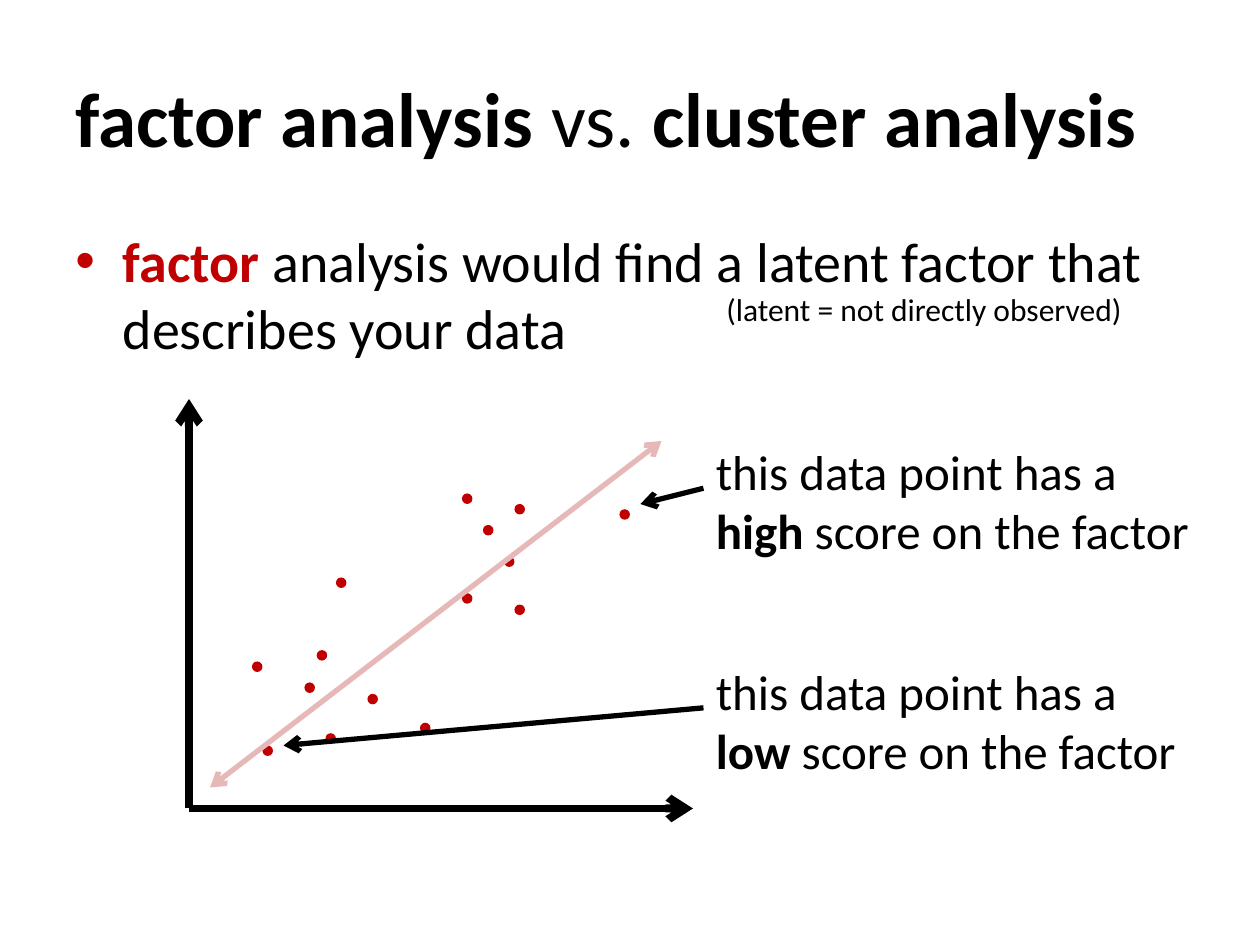
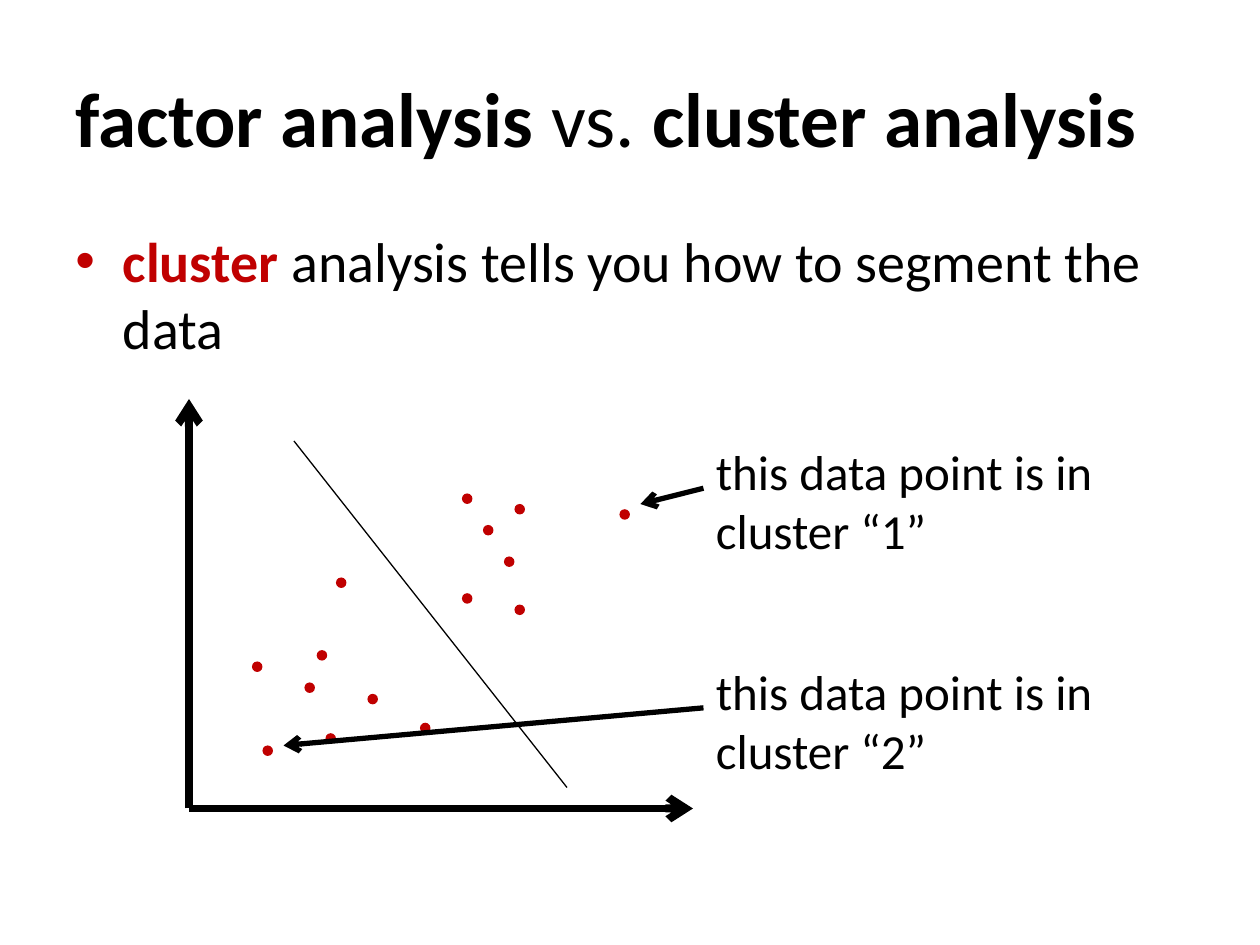
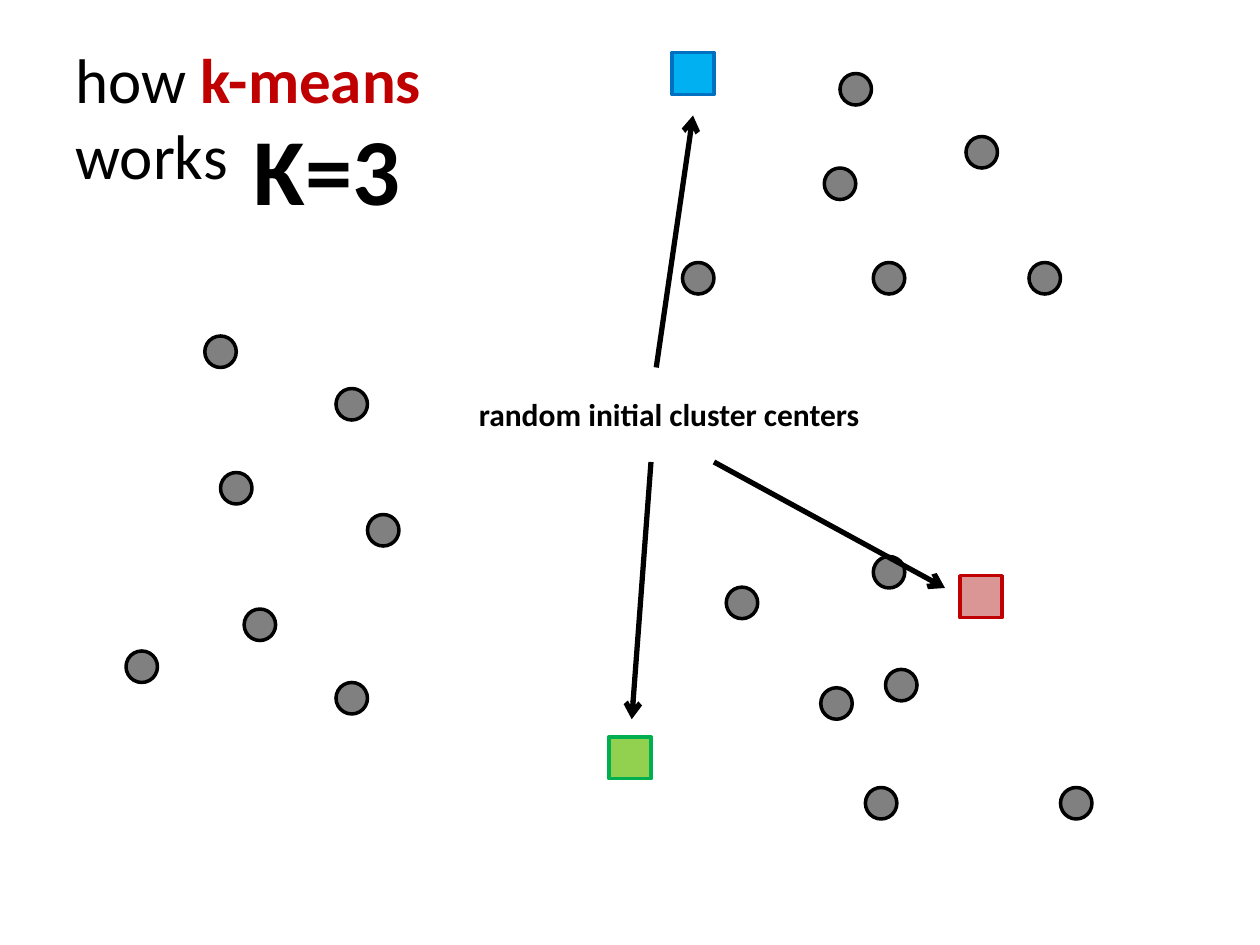
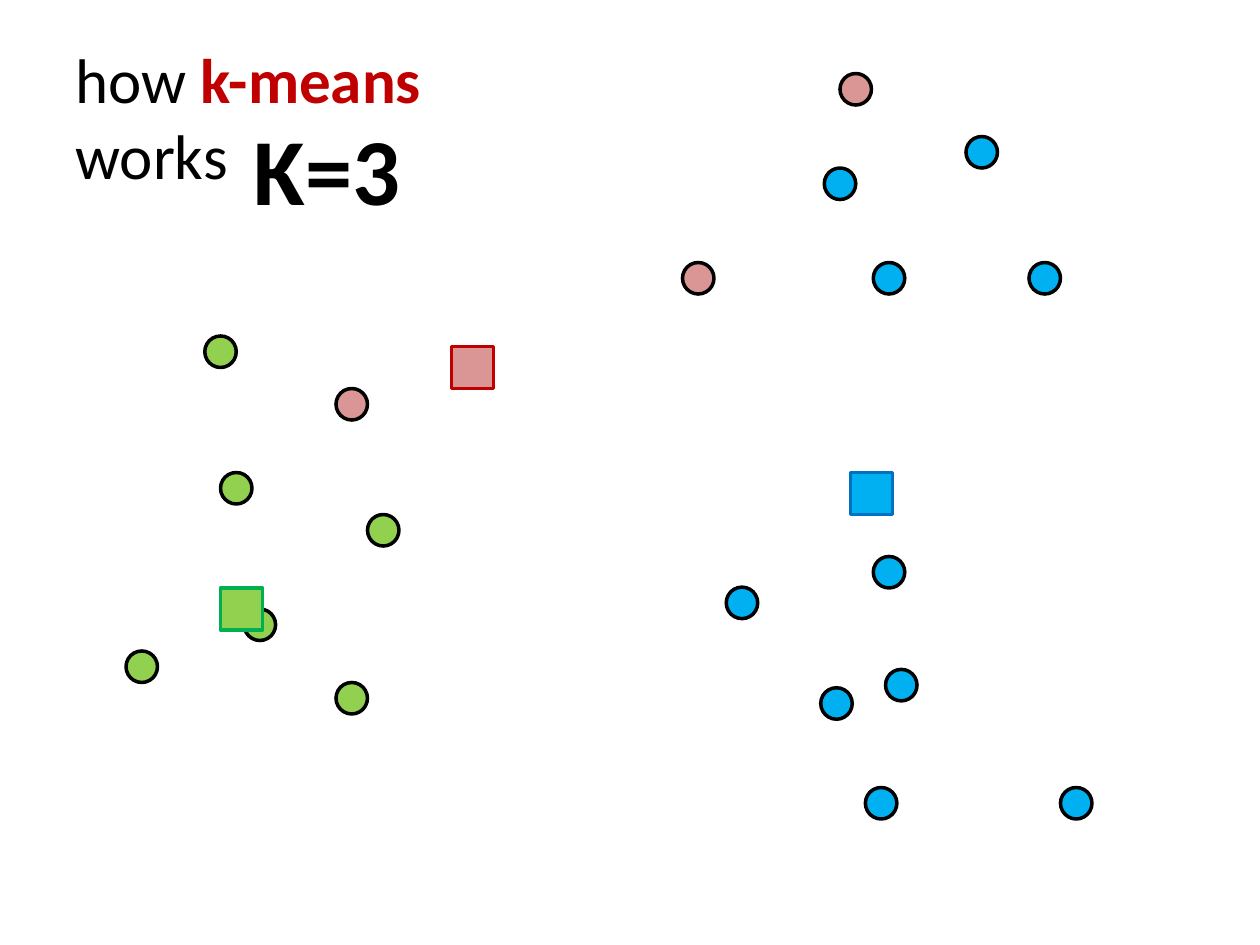
"""Build four slides on factor analysis, cluster analysis and k-means."""
from collections import namedtuple

from lxml.etree import SubElement
from pptx import Presentation
from pptx.dml.color import RGBColor
from pptx.enum.shapes import MSO_CONNECTOR as Connector, MSO_SHAPE as Preset
from pptx.enum.text import MSO_ANCHOR as Anchor, PP_ALIGN as Align
from pptx.oxml.ns import qn
from pptx.util import Pt

BLACK = RGBColor(0x00, 0x00, 0x00)
GREY = RGBColor(0x80, 0x80, 0x80)
RED = RGBColor(0xC0, 0x00, 0x00)
PINK = RGBColor(0xD9, 0x96, 0x94)
PALE_PINK = RGBColor(0xE6, 0xB9, 0xB8)
GREEN = RGBColor(0x92, 0xD0, 0x50)
DARK_GREEN = RGBColor(0x00, 0xB0, 0x50)
BLUE = RGBColor(0x00, 0xB0, 0xF0)
DARK_BLUE = RGBColor(0x00, 0x70, 0xC0)

FONT = "Calibri"
BREAK = "\n"

Box = namedtuple("Box", "left top width height")
Piece = namedtuple("Piece", "text bold color", defaults=(False, BLACK))

PAGE = Box(0, 0, 720, 540)
TITLE = Box(36, 21.6, 648, 90)
BODY = Box(36, 126, 648, 356)
PLOT = Box(108, 228, 288, 234)
HIGH_CALLOUT = Box(402, 249, 294, 75)
LOW_CALLOUT = Box(402, 374.5, 294, 75)
HIGH_TARGET = (258, 60)
LOW_TARGET = (54, 198)
LATENT_NOTE = Box(408, 162, 258, 29)
K_LABEL = Box(138, 60, 266, 73)
CENTERS_LABEL = Box(246, 222, 273, 29)

DOT_SIZE = 6
DOTS = [
    (42, 198), (102, 168.5), (66, 162), (78, 191), (36, 150),
    (84, 102), (132, 185), (186, 60), (180, 90), (156, 54),
    (246, 63), (156, 111), (168, 72), (186, 117.5), (73, 143.5),
]

POINT_SIZE = 18
LEFT_POINTS = [(126, 270), (192, 222), (210, 294), (139.5, 348), (192, 390), (72, 372), (117, 192)]
UPPER_POINTS = [(552, 78), (588, 150), (480, 42), (499, 150), (471, 96), (390, 150)]
LOWER_POINTS = [(499, 318), (606, 450), (494.5, 450), (506, 382.5), (469, 393), (415, 335.5)]
POINTS = LEFT_POINTS + UPPER_POINTS + LOWER_POINTS
PINK_POINTS = {(192, 222), (480, 42), (390, 150)}

CENTER_SIZE = 24
CENTER_OUTLINES = {GREEN: DARK_GREEN, BLUE: DARK_BLUE, PINK: RED}
INITIAL_CENTERS = {GREEN: (348, 421), BLUE: (384, 30), PINK: (548.5, 329)}
MOVED_CENTERS = {PINK: (258, 198), GREEN: (126, 336), BLUE: (486, 270)}
CENTER_ARROWS = [
    ((375, 210), (396, 66)),
    ((408, 264), (540, 336)),
    ((372, 264), (361, 411)),
]

VERSUS_TITLE = [Piece("factor analysis ", True), Piece("vs. "), Piece("cluster analysis", True)]
K_MEANS_TITLE = [Piece("how "), Piece("k-means ", True, RED), Piece(BREAK), Piece("works")]


def shifted(box, offset):
    """Return the slide position of an offset inside a box."""
    return box.left + offset[0], box.top + offset[1]


def add_text(slide, box, pieces, size, anchor=Anchor.TOP, align=Align.LEFT):
    """Add a wrapping text box of styled pieces and return its paragraph."""
    text_frame = slide.shapes.add_textbox(*map(Pt, box)).text_frame
    text_frame.word_wrap = True
    text_frame.vertical_anchor = anchor
    paragraph = text_frame.paragraphs[0]
    paragraph.alignment = align
    for piece in pieces:
        if piece.text == BREAK:
            paragraph.add_line_break()
            continue
        run = paragraph.add_run()
        run.text = piece.text
        run.font.name = FONT
        run.font.size = Pt(size)
        run.font.bold = piece.bold
        run.font.color.rgb = piece.color
    return paragraph


def add_line(shapes, start, end, color=BLACK, width=3, arrows=("tailEnd",)):
    """Add a straight line with open arrowheads at the named ends."""
    connector = shapes.add_connector(Connector.STRAIGHT, *map(Pt, start + end))
    connector.line.color.rgb = color
    connector.line.width = Pt(width)
    line = connector.line._get_or_add_ln()
    for arrow in arrows:
        SubElement(line, qn(f"a:{arrow}"), type="arrow")
    SubElement(connector._element.spPr, qn("a:effectLst"))


def add_mark(shapes, preset, position, size, fill, outline=None):
    """Add a filled square or round mark, outlined if a colour is given."""
    shape = shapes.add_shape(preset, *map(Pt, position + (size, size)))
    shape.shadow.inherit = False
    shape.fill.solid()
    shape.fill.fore_color.rgb = fill
    if outline is None:
        shape.line.fill.background()
    else:
        shape.line.color.rgb = outline
        shape.line.width = Pt(2)


def add_bullet(slide, box, pieces):
    """Add the red-bulleted statement with a hanging indent."""
    paragraph = add_text(slide, box, pieces, 32)
    properties = paragraph._p.get_or_add_pPr()
    properties.set("marL", str(Pt(27)))
    properties.set("indent", str(Pt(-27)))
    color = SubElement(properties, qn("a:buClr"))
    SubElement(color, qn("a:srgbClr"), val=str(RED))
    SubElement(properties, qn("a:buFont"), typeface="Arial")
    SubElement(properties, qn("a:buChar"), char="•")


def add_scatter(slide, box):
    """Draw the two axes and the data dots inside the plot box."""
    shapes = slide.shapes.add_group_shape().shapes
    origin = shifted(box, (0, box.height))
    for tip in ((0, 0), (box.width, box.height)):
        add_line(shapes, origin, shifted(box, tip), width=4.5)
    for dot in DOTS:
        add_mark(shapes, Preset.OVAL, shifted(box, dot), DOT_SIZE, RED)


def add_callout(slide, box, pieces, target):
    """Add a remark with an arrow to its data dot in the plot."""
    add_text(slide, box, pieces, 28)
    add_line(slide.shapes, shifted(box, (0, 30)), shifted(PLOT, target))


def build_analysis_slide(slide, statement, divider, high, low):
    """Build a slide with a statement, a scatter plot and two callouts."""
    add_text(slide, TITLE, VERSUS_TITLE, 44, Anchor.MIDDLE)
    add_bullet(slide, BODY, statement)
    add_scatter(slide, PLOT)
    start, end, *style = divider
    add_line(slide.shapes, shifted(PLOT, start), shifted(PLOT, end), *style)
    add_callout(slide, HIGH_CALLOUT, high, HIGH_TARGET)
    add_callout(slide, LOW_CALLOUT, low, LOW_TARGET)


def build_k_means_slide(slide, box, colors, centers):
    """Build a slide of coloured points and square cluster centers."""
    add_text(slide, TITLE, K_MEANS_TITLE, 36, Anchor.MIDDLE)
    for point, color in zip(POINTS, colors):
        add_mark(slide.shapes, Preset.OVAL, shifted(box, point), POINT_SIZE, color, BLACK)
    add_text(slide, K_LABEL, [Piece("K=3", True)], 54)
    for color, center in centers.items():
        add_mark(slide.shapes, Preset.RECTANGLE, shifted(box, center), CENTER_SIZE,
                 color, CENTER_OUTLINES[color])


def add_center_labels(slide, box):
    """Point out the random initial centers."""
    for start, end in CENTER_ARROWS:
        add_line(slide.shapes, shifted(box, start), shifted(box, end))
    add_text(slide, CENTERS_LABEL, [Piece("random initial cluster centers", True)], 18,
             align=Align.CENTER)


def main():
    """Create the presentation and save it."""
    presentation = Presentation()
    presentation.slide_width = Pt(PAGE.width)
    presentation.slide_height = Pt(PAGE.height)
    blank = presentation.slide_layouts[6]
    factor, cluster, initial, moved = (presentation.slides.add_slide(blank) for _ in range(4))

    build_analysis_slide(
        factor,
        [Piece("factor", True, RED),
         Piece(" analysis would find a latent factor that describes your data")],
        ((12, 222), (270, 24), PALE_PINK, 3, ("headEnd", "tailEnd")),
        [Piece("this data point has a "), Piece("high", True), Piece(" score on the factor")],
        [Piece("this data point has a "), Piece(BREAK), Piece("low", True),
         Piece(" score on the factor")],
    )
    add_text(factor, LATENT_NOTE, [Piece("(latent = not directly observed)")], 18)

    build_analysis_slide(
        cluster,
        [Piece("cluster ", True, RED), Piece("analysis tells you how to segment the data")],
        ((60, 24), (216, 222), BLACK, 0.75, ()),
        [Piece("this data point is in cluster “1”")],
        [Piece("this data point is in"), Piece(BREAK), Piece("cluster “2”")],
    )

    build_k_means_slide(initial, PAGE, [GREY] * len(POINTS), INITIAL_CENTERS)
    add_center_labels(initial, PAGE)

    assigned = [PINK if point in PINK_POINTS else GREEN if point in LEFT_POINTS else BLUE
                for point in POINTS]
    build_k_means_slide(moved, PAGE, assigned, MOVED_CENTERS)

    presentation.save("out.pptx")


if __name__ == "__main__":
    main()
